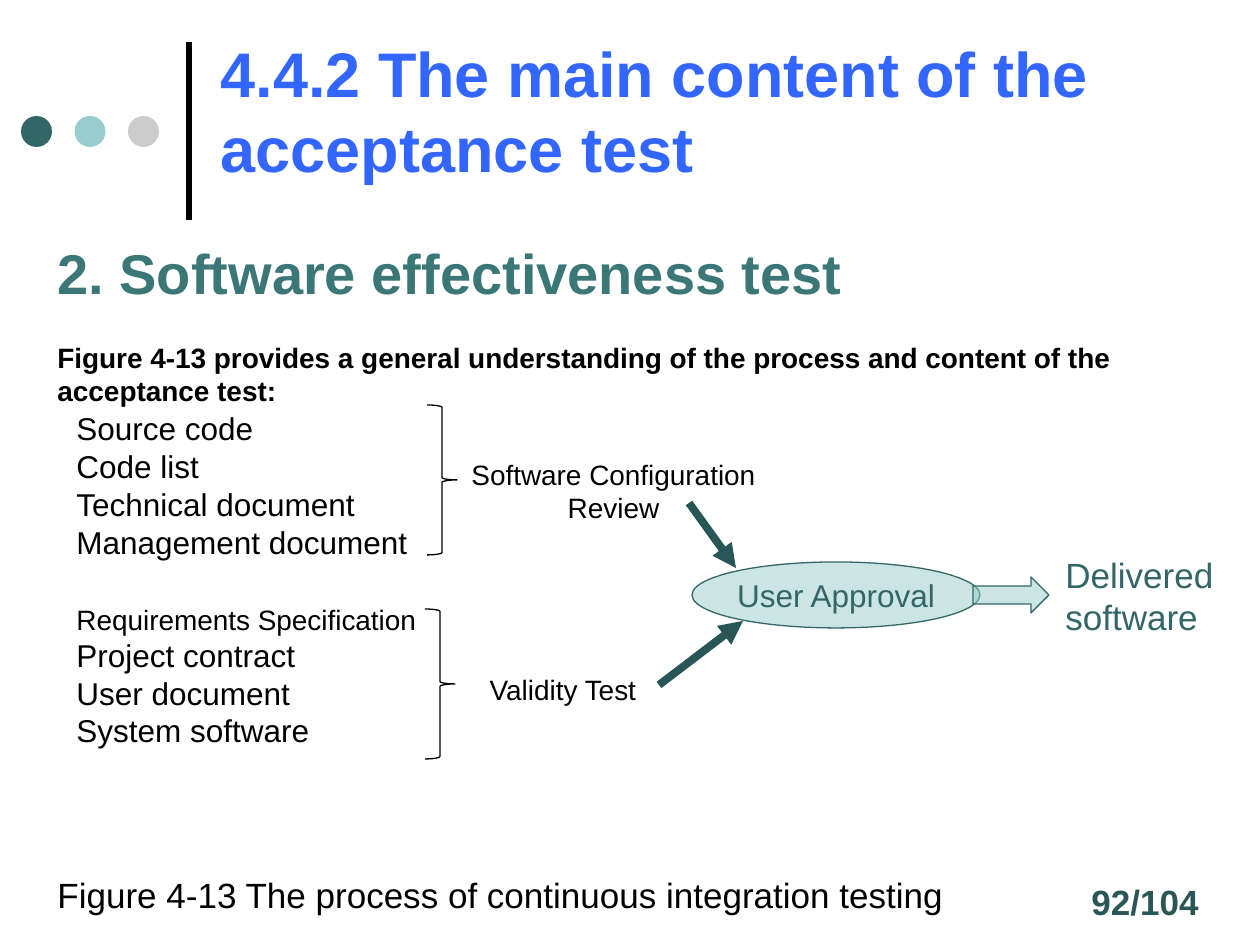
"""Build the slide on the main content of the acceptance test."""
from lxml.etree import SubElement
from pptx import Presentation
from pptx.dml.color import RGBColor
from pptx.enum.shapes import MSO_CONNECTOR, MSO_SHAPE
from pptx.enum.text import MSO_ANCHOR, PP_ALIGN
from pptx.oxml.ns import qn
from pptx.util import Emu, Pt

PIXEL = 914400 / 126


def px(*lengths):
    return [Emu(round(length * PIXEL)) for length in lengths]


def write(shape, text, size=18, color="000000", bold=False, align=PP_ALIGN.LEFT,
          before=0, anchor=MSO_ANCHOR.TOP, append=False, wrap=True):
    frame = shape.text_frame
    frame.word_wrap = wrap
    frame.vertical_anchor = anchor
    for index, line in enumerate(text.split("\n")):
        new = append or index > 0
        paragraph = frame.add_paragraph() if new else frame.paragraphs[0]
        paragraph.alignment = align
        paragraph.line_spacing = Pt(size * 1.2)
        paragraph.space_before = Pt(before)
        run = paragraph.add_run()
        run.text = line
        run.font.name = "Arial"
        run.font.size = Pt(size)
        run.font.bold = bold
        run.font.color.rgb = RGBColor.from_string(color)


presentation = Presentation()
presentation.slide_width, presentation.slide_height = px(1260, 945)
slide = presentation.slides.add_slide(presentation.slide_layouts[5])
shapes = slide.shapes

title = shapes.title
title.left, title.top, title.width, title.height = px(208, 28, 1023, 196)
write(title, "4.4.2 The main content of the acceptance test",
      size=36, color="3366FF", bold=True)

for index, color in enumerate(["336666", "99CCCC", "CCCCCC"]):
    dot = shapes.add_shape(MSO_SHAPE.OVAL, *px(21 + 53.5 * index, 116, 31, 31))
    dot.shadow.inherit = False
    dot.fill.solid()
    dot.fill.fore_color.rgb = RGBColor.from_string(color)
    dot.line.fill.background()

body = shapes.add_textbox(*px(45, 232, 1202, 706))
write(body, "2. Software effectiveness test", size=32, color="3B7777", bold=True)
write(body, "Figure 4-13 provides a general understanding of the process and "
      "content of the acceptance test:", size=16, bold=True, before=20, append=True)
write(body, "Figure 4-13 The process of continuous integration testing",
      size=20, before=266, append=True)

page_number = shapes.add_textbox(*px(1079, 874, 168, 63))
write(page_number, "92/104", size=20, color="2A5656", bold=True)

configuration_items = shapes.add_textbox(*px(64, 403, 363, 165))
write(configuration_items,
      "Source code\nCode list\nTechnical document\nManagement document")

validity_items = shapes.add_textbox(*px(64, 596, 373, 161))
write(validity_items, "Requirements Specification", size=16)
write(validity_items, "Project contract\nUser document\nSystem software", append=True)

for left, top in [(427, 405), (425, 609)]:
    brace = shapes.add_shape(MSO_SHAPE.RIGHT_BRACE, *px(left, top, 30, 150))
    brace.shadow.inherit = False
    brace.fill.background()
    brace.line.color.rgb = RGBColor.from_string("000000")
    brace.line.width = Pt(0.75)

review = shapes.add_textbox(*px(453, 451, 321, 81))
write(review, "Software Configuration\nReview", size=16, align=PP_ALIGN.CENTER)
validity_test = shapes.add_textbox(*px(474, 666, 178, 47))
write(validity_test, "Validity Test", size=16, align=PP_ALIGN.CENTER)

for ends, color, width, has_head in [
    ((189, 220, 189, 42), "000000", 3, False),
    ((689, 503, 736, 568), "285555", 4.5, True),
    ((659, 685, 743, 621), "285555", 4.5, True),
]:
    connector = shapes.add_connector(MSO_CONNECTOR.STRAIGHT, *px(*ends))
    connector.line.color.rgb = RGBColor.from_string(color)
    connector.line.width = Pt(width)
    if has_head:
        SubElement(connector.line._get_or_add_ln(), qn("a:tailEnd"), type="triangle")
    SubElement(connector._element.spPr, qn("a:effectLst"))

approval = shapes.add_shape(MSO_SHAPE.OVAL, *px(692, 562, 288, 66))
delivery_arrow = shapes.add_shape(MSO_SHAPE.RIGHT_ARROW, *px(973, 577, 76, 36))
for shape in (approval, delivery_arrow):
    shape.shadow.inherit = False
    shape.fill.solid()
    shape.fill.fore_color.rgb = RGBColor.from_string("99CCCC")
    fill_color = shape._element.spPr.find(qn("a:solidFill")).find(qn("a:srgbClr"))
    SubElement(fill_color, qn("a:alpha"), val="50000")
    shape.line.color.rgb = RGBColor.from_string("336666")
    shape.line.width = Pt(0.75)
write(approval, "User Approval", color="336666", align=PP_ALIGN.CENTER,
      anchor=MSO_ANCHOR.MIDDLE, wrap=False)
label = approval.text_frame
label.margin_left = label.margin_right = label.margin_top = label.margin_bottom = 0

delivered = shapes.add_textbox(*px(1053, 547, 200, 97))
write(delivered, "Delivered software", size=20, color="336666")

presentation.save("out.pptx")
